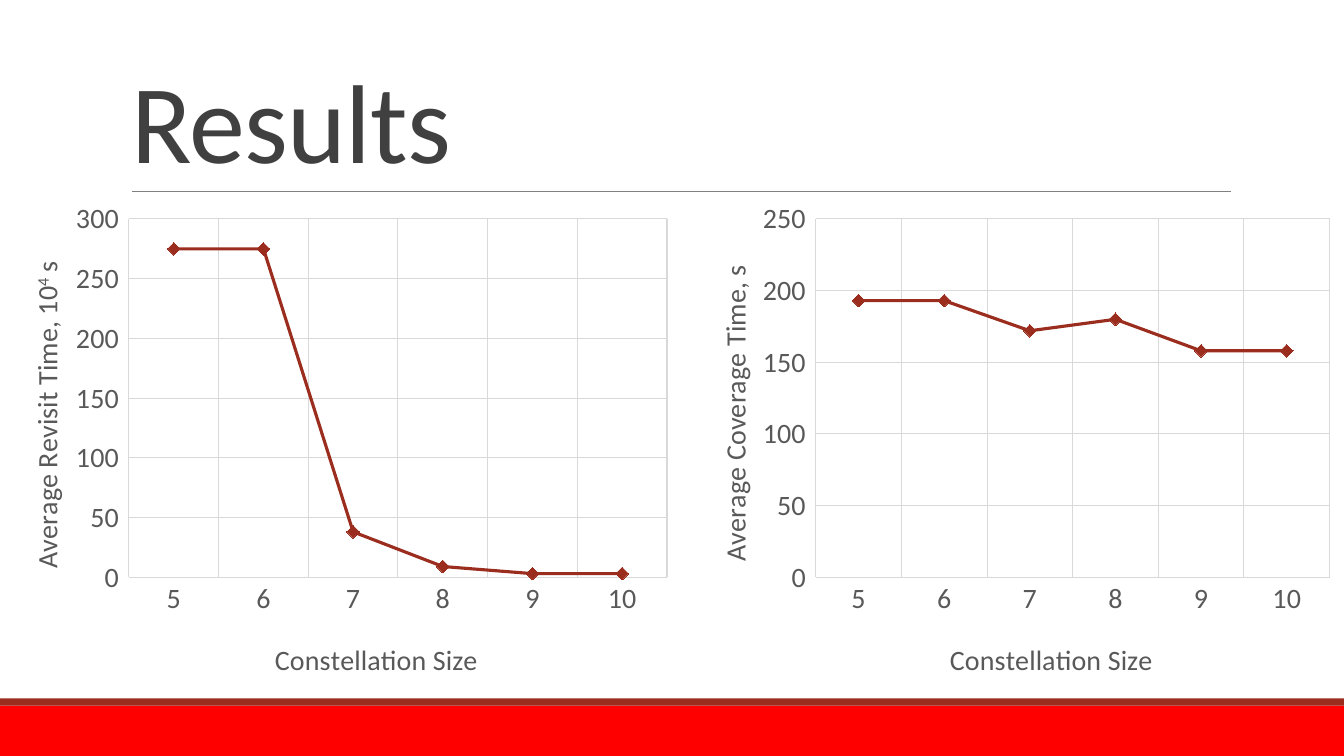
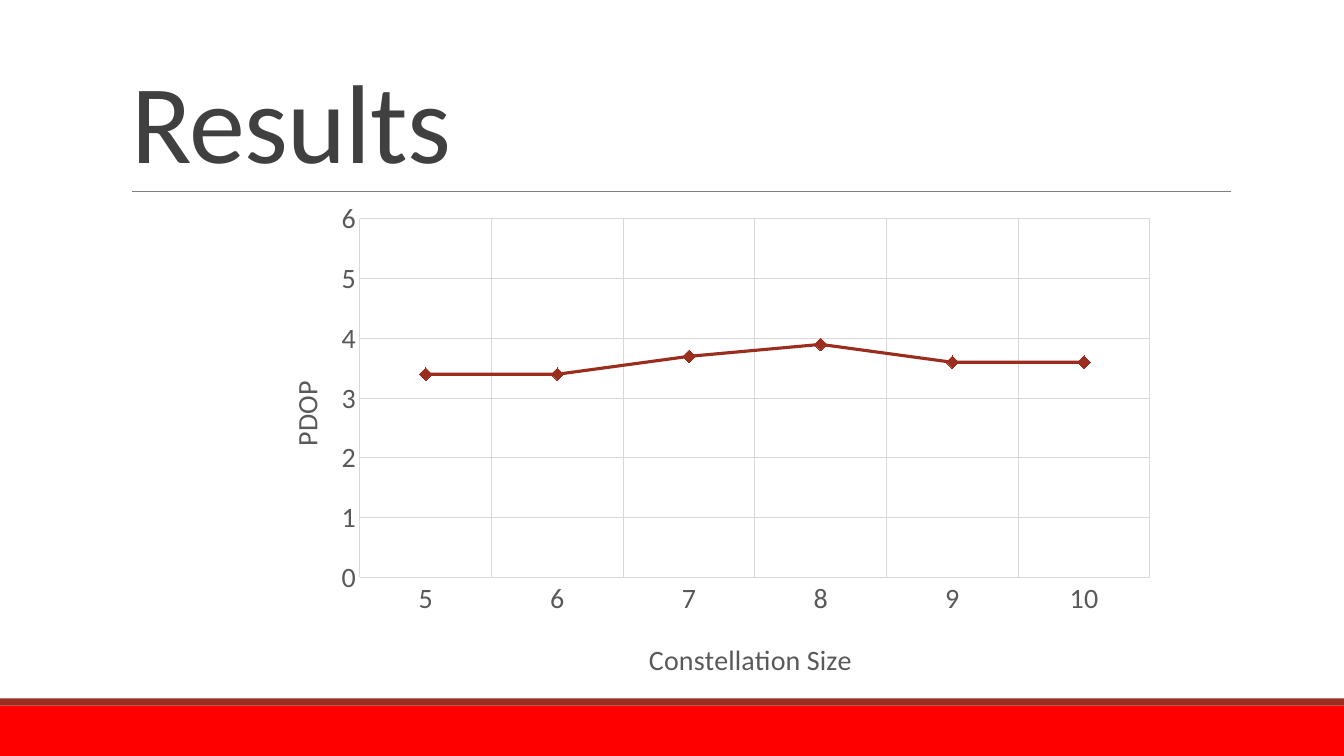
"""Builds two results slides with line charts of constellation size."""
import pptx
import pptx.chart.data
import pptx.dml.color
import pptx.enum.chart
import pptx.enum.shapes
import pptx.enum.text
import pptx.oxml
import pptx.oxml.ns
import pptx.util
from pptx.util import Cm, Pt

COLORS = {"red": "FF0000", "rust": "9B2D1F", "rule": "808080",
          "title": "404040", "label": "595959", "grid": "D9D9D9"}
FONT = "Calibri"
WIDTH, HEIGHT = 33.87, 19.05
CHART_TOP, CHART_HEIGHT = 4.83, 12.65
PLOT_TOP, PLOT_HEIGHT = 5.52, 9.03
CAT_TITLE_TOP = 16
SIZES = ["5", "6", "7", "8", "9", "10"]


def rgb(name):
    """Return a palette colour."""
    return pptx.dml.color.RGBColor.from_string(COLORS[name])


def style_font(font, size, color):
    """Set the shared typeface with a size and colour."""
    font.name, font.size, font.bold = FONT, Pt(size), False
    font.color.rgb = rgb(color)


def write(p, text, size=20, color="label", spacing=None, baseline=None):
    """Add one formatted run to a paragraph."""
    r = p.add_run()
    r.text = text
    style_font(r.font, size, color)
    for key, value in (("spc", spacing), ("baseline", baseline)):
        if value is not None:
            r._r.get_or_add_rPr().set(key, str(value))


def add_band(s, top, height, color):
    """Draw a full-width band."""
    sp = s.shapes.add_shape(pptx.enum.shapes.MSO_SHAPE.RECTANGLE,
                            0, Cm(top), Cm(WIDTH), Cm(height))
    sp.shadow.inherit = False
    sp.fill.solid()
    sp.fill.fore_color.rgb = rgb(color)
    sp.line.fill.background()


def add_rule(s, left, right, top):
    """Draw the thin line under the title."""
    line = s.shapes.add_connector(pptx.enum.shapes.MSO_CONNECTOR.STRAIGHT,
                                  Cm(left), Cm(top), Cm(right), Cm(top))
    line.line.color.rgb = rgb("rule")
    line.line.width = Pt(0.5)
    line._element.spPr.append(pptx.oxml.parse_xml(
        f'<a:effectLst {pptx.oxml.ns.nsdecls("a")}/>'))


def set_title(s, text):
    """Place and format the title placeholder."""
    sp = s.shapes.title
    sp.left, sp.top, sp.width, sp.height = Cm(3.05), Cm(0.79), Cm(29.7), Cm(4.04)
    tf = sp.text_frame
    tf.word_wrap = True
    tf.auto_size = pptx.enum.text.MSO_AUTO_SIZE.NONE
    tf.vertical_anchor = pptx.enum.text.MSO_ANCHOR.BOTTOM
    p = tf.paragraphs[0]
    p.alignment = pptx.enum.text.PP_ALIGN.LEFT
    p.line_spacing = 0.85
    write(p, text, size=80, color="title", spacing=-50)


def add_slide(prs, title):
    """Add a slide with the shared title, rule and bands."""
    s = prs.slides.add_slide(prs.slide_layouts[5])
    add_band(s, 17.78, 1.27, "red")
    add_band(s, 17.6, 0.18, "rust")
    add_rule(s, 3.33, 31.01, 4.83)
    set_title(s, title)
    return s


def set_layout(parent, index, **fractions):
    """Give a chart part a manual position as fractions of the chart."""
    for old in parent.xpath("c:layout"):
        parent.remove(old)
    target = '<c:layoutTarget val="inner"/>' if "w" in fractions else ""
    modes = '<c:xMode val="edge"/><c:yMode val="edge"/>'
    values = "".join(f'<c:{k} val="{v:.4f}"/>' for k, v in fractions.items())
    parent.insert(index, pptx.oxml.parse_xml(
        f'<c:layout {pptx.oxml.ns.nsdecls("c")}><c:manualLayout>'
        f'{target}{modes}{values}</c:manualLayout></c:layout>'))


def style_axis(axis, runs, x, y, rotation=0):
    """Format an axis with its grid, labels and placed title."""
    style_font(axis.tick_labels.font, 20, "label")
    axis.has_major_gridlines = True
    for line in (axis.major_gridlines.format.line, axis.format.line):
        line.color.rgb = rgb("grid")
        line.width = Pt(0.75)
    tf = axis.axis_title.text_frame
    tf._txBody.bodyPr.set("rot", str(rotation))
    for text, baseline in runs:
        write(tf.paragraphs[0], text, baseline=baseline)
    set_layout(axis.axis_title._element, 1, x=x, y=y)


def add_line_chart(s, values, runs, left, width, plot, cat_left, val_at,
                   top_value, step, ticks=True, fmt="0"):
    """Add a line chart; all positions are centimetres on the slide."""
    marks = pptx.enum.chart.XL_TICK_MARK
    data = pptx.chart.data.CategoryChartData()
    data.categories = SIZES
    data.add_series("Series 1", values)
    chart = s.shapes.add_chart(
        pptx.enum.chart.XL_CHART_TYPE.LINE_MARKERS, Cm(left), Cm(CHART_TOP),
        Cm(width), Cm(CHART_HEIGHT), data).chart
    chart.has_title = chart.has_legend = False
    chart.font.name, chart.font.size = FONT, Pt(20)

    def across(x):
        return (x - left) / width

    def down(y):
        return (y - CHART_TOP) / CHART_HEIGHT

    plot_left, plot_width = plot
    set_layout(chart._chartSpace.xpath("c:chart/c:plotArea")[0], 0,
               x=across(plot_left), y=down(PLOT_TOP),
               w=plot_width / width, h=PLOT_HEIGHT / CHART_HEIGHT)

    cat, val = chart.category_axis, chart.value_axis
    style_axis(cat, [("Constellation Size", None)],
               across(cat_left), down(CAT_TITLE_TOP))
    cat.major_tick_mark = marks.NONE
    style_axis(val, runs, across(val_at[0]), down(val_at[1]), -5400000)
    val.format.line.fill.background()
    val.major_tick_mark = marks.OUTSIDE if ticks else marks.NONE
    val.minimum_scale, val.maximum_scale, val.major_unit = 0, top_value, step
    val.tick_labels.number_format = fmt
    val.tick_labels.number_format_is_linked = False

    chart.plots[0].vary_by_categories = False
    series = chart.plots[0].series[0]
    series.smooth = False
    series.format.line.color.rgb = rgb("rust")
    series.format.line.width = Pt(2.25)
    series.marker.style = pptx.enum.chart.XL_MARKER_STYLE.DIAMOND
    series.marker.size = 9
    series.marker.format.fill.solid()
    series.marker.format.fill.fore_color.rgb = rgb("rust")
    series.marker.format.line.color.rgb = rgb("rust")


def main():
    """Build and save the presentation."""
    prs = pptx.Presentation()
    prs.slide_width, prs.slide_height = Cm(WIDTH), Cm(HEIGHT)

    s = add_slide(prs, "Results")
    add_line_chart(s, [193, 193, 172, 180, 158, 158],
                   [("Average Coverage Time, s", None)],
                   left=17.15, width=16.72, plot=(20.56, 12.95),
                   cat_left=23.81, val_at=(17.89, 6.55),
                   top_value=250, step=50)
    add_line_chart(s, [275, 275, 38, 9, 3, 3],
                   [("Average Revisit Time, 10", None), ("4", 30000), (" s", None)],
                   left=0, width=17.15, plot=(3.25, 13.56),
                   cat_left=6.8, val_at=(0.63, 6.5),
                   top_value=300, step=50, fmt="#,##0")

    s = add_slide(prs, "Results")
    add_line_chart(s, [3.4, 3.4, 3.7, 3.9, 3.6, 3.6], [("PDOP", None)],
                   left=6.4, width=23.04, plot=(9.07, 19.91),
                   cat_left=16.23, val_at=(7.1, 9.47),
                   top_value=6, step=1, ticks=False)
    prs.save("out.pptx")


if __name__ == "__main__":
    main()
